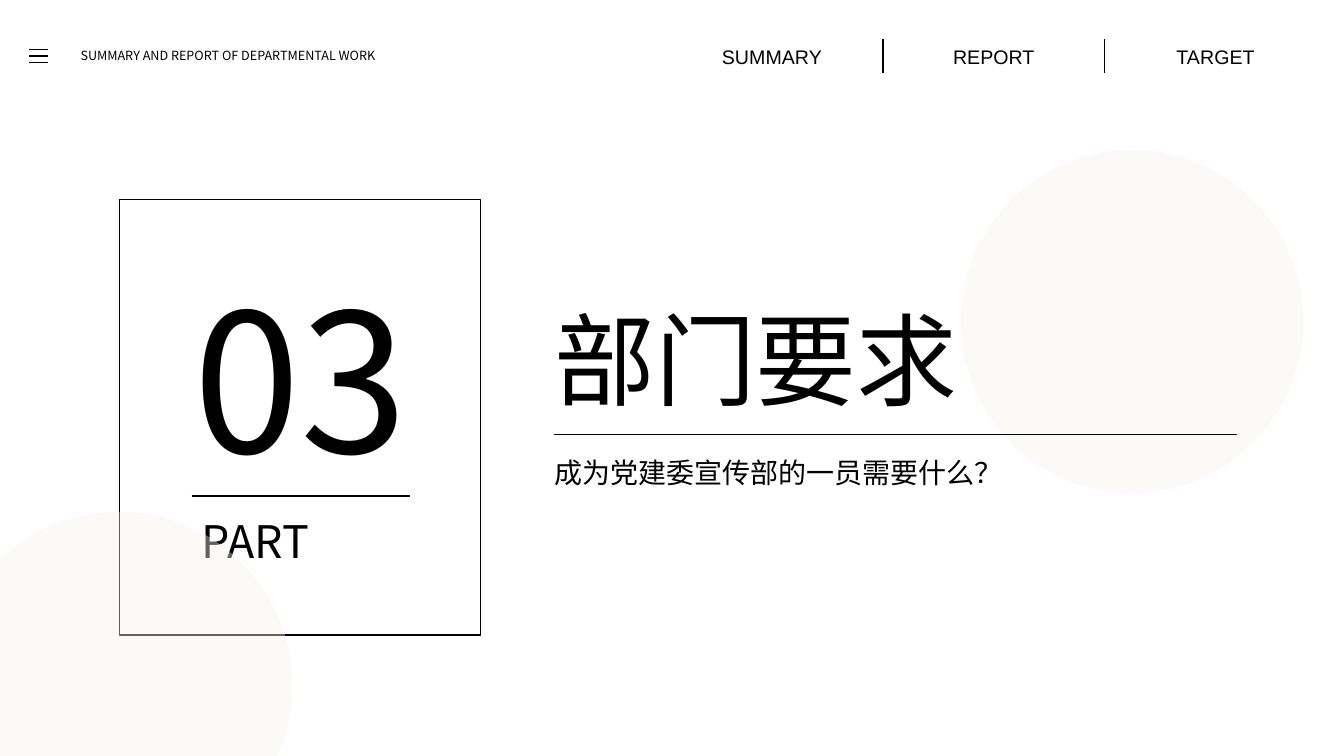
import math

from lxml import etree
from pptx import Presentation
from pptx.dml.color import RGBColor
from pptx.enum.shapes import MSO_CONNECTOR, MSO_SHAPE
from pptx.enum.text import MSO_ANCHOR, PP_ALIGN
from pptx.oxml.ns import qn
from pptx.util import Cm, Pt

BLACK = RGBColor(0x00, 0x00, 0x00)
CREAM = RGBColor(0xF8, 0xF3, 0xEB)
STRAIGHT = MSO_CONNECTOR.STRAIGHT
MIDDLE = MSO_ANCHOR.MIDDLE
LEFT, CENTER, JUSTIFY = PP_ALIGN.LEFT, PP_ALIGN.CENTER, PP_ALIGN.JUSTIFY
LATIN_FONT = "Arial"
CHINESE_FONT = "Noto Sans CJK SC"

presentation = Presentation()
presentation.slide_width = Cm(33.87)
presentation.slide_height = Cm(19.05)
slide = presentation.slides.add_slide(presentation.slide_layouts[6])
shapes = slide.shapes


def add_text(text, left, top, width, height, size, font_name, alignment):
    frame = shapes.add_textbox(Cm(left), Cm(top), Cm(width), Cm(height)).text_frame
    frame.word_wrap = True
    frame.vertical_anchor = MIDDLE
    paragraph = frame.paragraphs[0]
    paragraph.alignment = alignment
    run = paragraph.add_run()
    run.text = text
    run.font.size = Pt(size)
    run.font.name = font_name
    run.font.color.rgb = BLACK
    east_asian = etree.SubElement(run.font._element, qn("a:ea"))
    east_asian.set("typeface", font_name)


def add_line(left, top, right, bottom):
    line = shapes.add_connector(STRAIGHT, Cm(left), Cm(top), Cm(right), Cm(bottom))
    line.line.color.rgb = BLACK
    line.line.width = Pt(1)
    etree.SubElement(line._element.spPr, qn("a:effectLst"))


right_circle = shapes.add_shape(MSO_SHAPE.OVAL, Cm(24.21), Cm(3.78), Cm(8.64), Cm(8.64))

NAV_STEP = 5.59
for index, label in enumerate(["SUMMARY", "REPORT", "TARGET"]):
    add_text(label, 17.22 + index * NAV_STEP, 0.99, 4.47, 0.86, 14, LATIN_FONT, CENTER)
for index in range(2):
    divider = 22.25 + index * NAV_STEP
    add_line(divider, 0.99, divider, 1.83)

for index in range(3):
    bar = 1.24 + index * 0.17
    add_line(0.74, bar, 1.22, bar)
add_text("SUMMARY AND REPORT OF DEPARTMENTAL WORK",
         1.78, 1.09, 11.18, 0.64, 9, CHINESE_FONT, JUSTIFY)

add_text("03", 3.84, 6.4, 7.49, 6.15, 138, CHINESE_FONT, CENTER)
add_text("PART", 4.83, 12.8, 5.51, 1.63, 32, CHINESE_FONT, JUSTIFY)
part_frame = shapes.add_shape(MSO_SHAPE.RECTANGLE, Cm(3.02), Cm(5.03), Cm(9.09), Cm(10.97))
part_frame.shadow.inherit = False
part_frame.fill.background()
part_frame.line.color.rgb = BLACK
part_frame.line.width = Pt(1)
add_line(4.83, 12.5, 10.34, 12.5)

add_text("部门要求", 13.72, 7.37, 17.45, 3.33, 72, CHINESE_FONT, JUSTIFY)
add_text("成为党建委宣传部的一员需要什么？", 13.72, 11.34, 17.45, 1.12, 20, CHINESE_FONT, LEFT)
add_line(13.97, 10.95, 31.17, 10.95)

CENTER_X, CENTER_Y, RADIUS, BOTTOM = 3.0, 17.27, 4.37, 19.05
STEPS = 120
start = math.pi - math.acos(CENTER_X / RADIUS)
end = -math.asin((BOTTOM - CENTER_Y) / RADIUS)
arc = []
for step in range(STEPS + 1):
    angle = start + (end - start) * step / STEPS
    arc.append((Cm(CENTER_X + RADIUS * math.cos(angle)),
                Cm(CENTER_Y - RADIUS * math.sin(angle))))
builder = shapes.build_freeform(0, Cm(BOTTOM))
builder.add_line_segments(arc, close=True)
corner_circle = builder.convert_to_shape()

for circle in (right_circle, corner_circle):
    circle.shadow.inherit = False
    circle.line.fill.background()
    circle.fill.solid()
    circle.fill.fore_color.rgb = CREAM
    color = circle._element.spPr.find(qn("a:solidFill")).find(qn("a:srgbClr"))
    etree.SubElement(color, qn("a:alpha")).set("val", "40000")

presentation.save("out.pptx")
